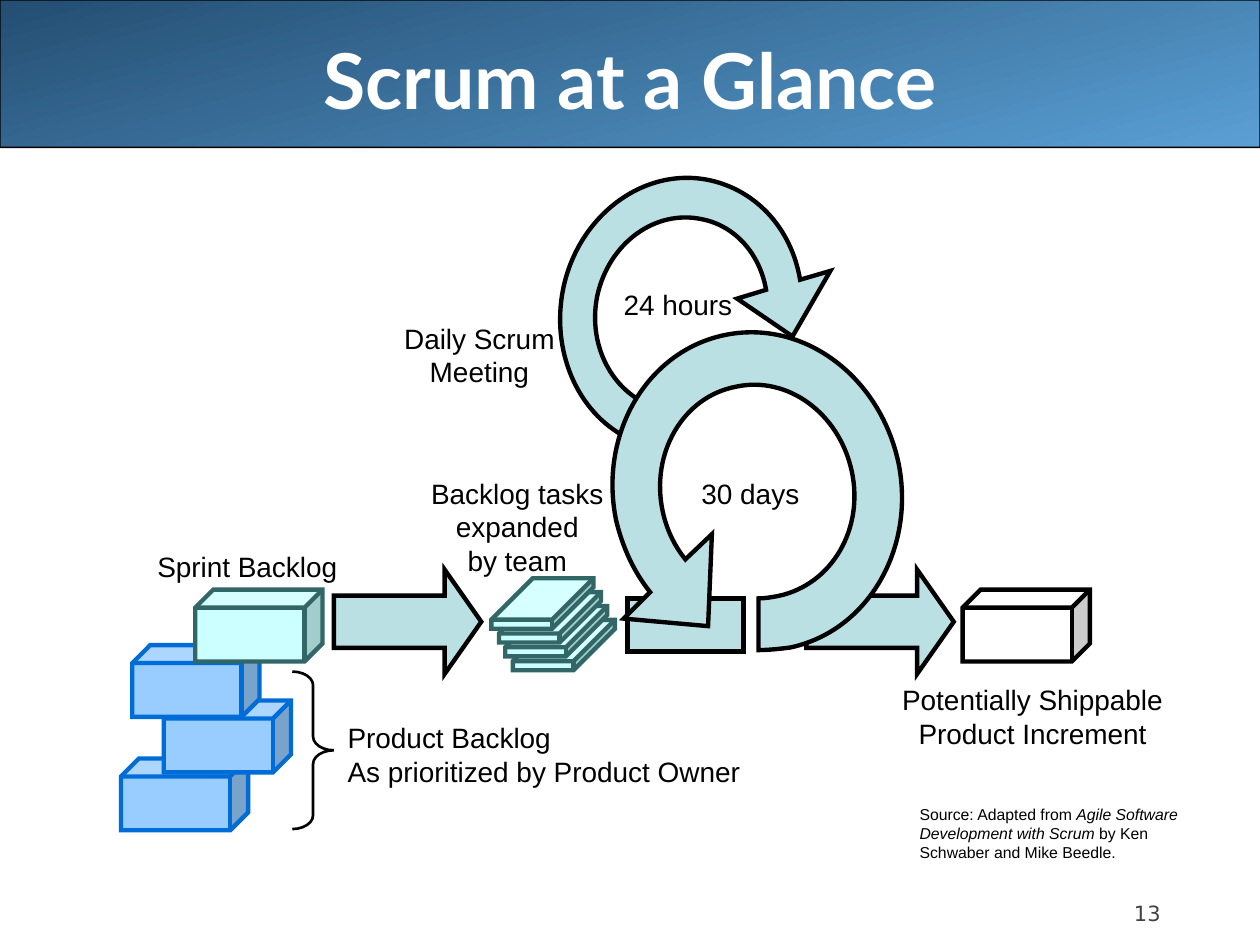
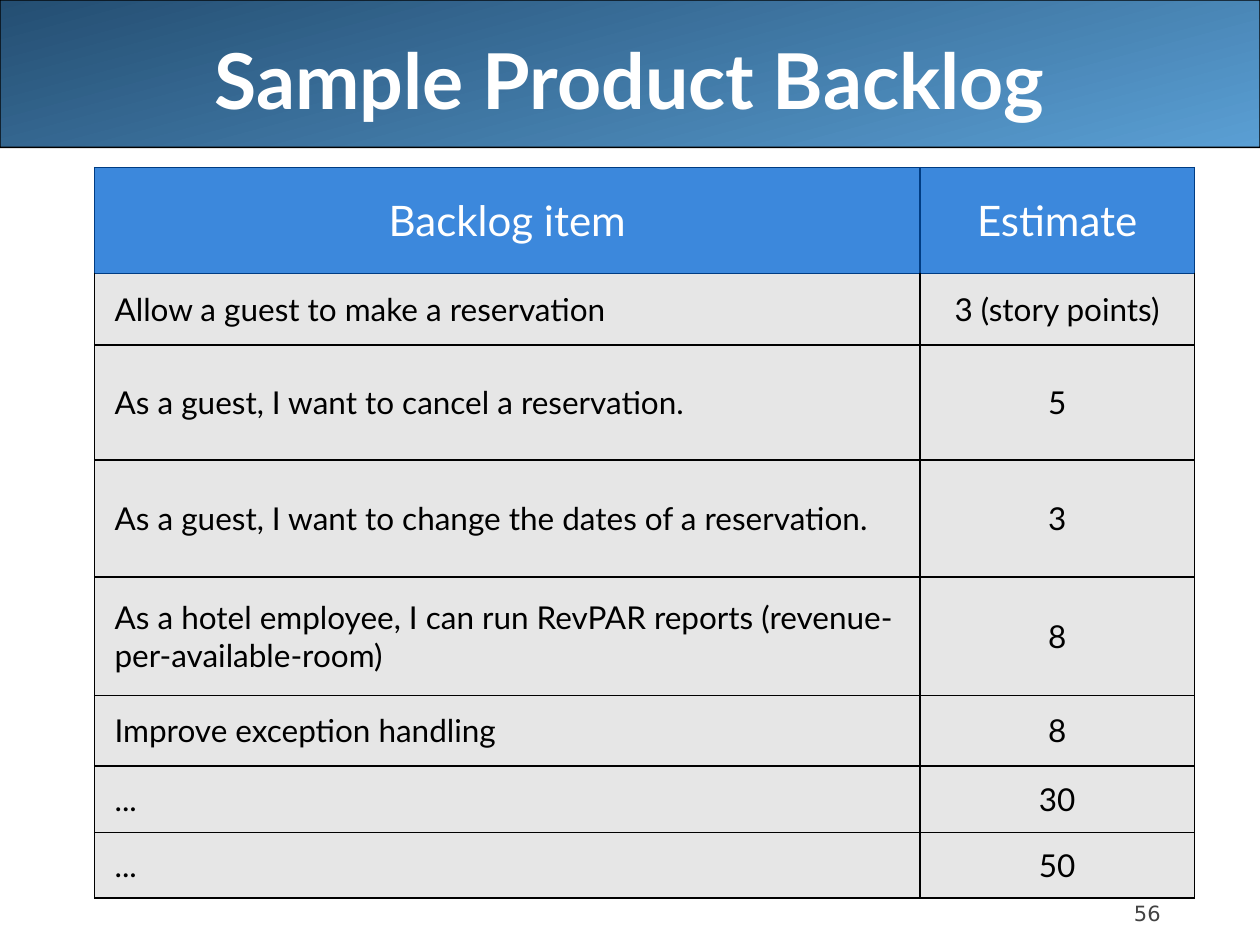
from dataclasses import dataclass

from lxml.etree import SubElement
from pptx import Presentation
from pptx.dml.color import RGBColor
from pptx.enum.shapes import MSO_SHAPE
from pptx.enum.text import MSO_ANCHOR, MSO_AUTO_SIZE, PP_ALIGN
from pptx.oxml.ns import qn
from pptx.shapes.autoshape import Shape
from pptx.shapes.shapetree import GroupShapes, SlideShapes
from pptx.slide import Slide
from pptx.text.text import TextFrame
from pptx.util import Emu, Pt

EMU_PER_PX = 9144
SLIDE_WIDTH, SLIDE_HEIGHT = 1000, 750

BLACK = RGBColor(0x00, 0x00, 0x00)
WHITE = RGBColor(0xFF, 0xFF, 0xFF)
BAND_DARK = RGBColor(0x24, 0x4E, 0x72)
BAND_LIGHT = RGBColor(0x5A, 0x9F, 0xD4)
NUMBER_GRAY = RGBColor(0x42, 0x42, 0x42)
FLOW_TEAL = RGBColor(0xBB, 0xE0, 0xE3)
PRODUCT_FILL = RGBColor(0x99, 0xCC, 0xFF)
PRODUCT_LINE = RGBColor(0x00, 0x6C, 0xD8)
SPRINT_FILL = RGBColor(0xCC, 0xFF, 0xFF)
SPRINT_LINE = RGBColor(0x33, 0x66, 0x66)
HEADER_FILL = RGBColor(0x3C, 0x88, 0xDC)
HEADER_LINE = RGBColor(0x00, 0x3C, 0x83)
ROW_FILL = RGBColor(0xE6, 0xE6, 0xE6)

TITLE_FONT = "Lato"
LABEL_FONT = "Arial"
NUMBER_FONT = "DejaVu Sans"


@dataclass(frozen=True)
class Box:
    left: int
    top: int
    width: int
    height: int

    def emu(self) -> tuple[Emu, Emu, Emu, Emu]:
        return px(self.left), px(self.top), px(self.width), px(self.height)


@dataclass(frozen=True)
class Block:
    kind: MSO_SHAPE
    box: Box
    fill: RGBColor | None = FLOW_TEAL
    line: RGBColor = BLACK
    line_width: float = 2.5
    adjustments: tuple[float, ...] = ()


@dataclass(frozen=True)
class Label:
    text: str
    box: Box
    align: PP_ALIGN = PP_ALIGN.CENTER


@dataclass(frozen=True)
class Loop:
    start: tuple[int, int]
    segments: tuple[tuple[int, ...], ...]


def px(length: int) -> Emu:
    return Emu(length * EMU_PER_PX)


def cube(left: int, top: int, fill: RGBColor, line: RGBColor) -> Block:
    return Block(MSO_SHAPE.CUBE, Box(left, top, 101, 57), fill, line, adjustments=(0.25,))


def flow_arrow(left: int) -> Block:
    return Block(MSO_SHAPE.RIGHT_ARROW, Box(left, 452, 117, 83), adjustments=(0.5, 0.351))


DAILY_LOOP = Loop((608, 230), (
    (603, 201, 583, 179, 557, 174), (520, 166, 483, 193, 474, 235),
    (467, 270, 482, 304, 510, 319), (497, 347),
    (458, 327, 437, 278, 447, 229), (459, 171, 511, 132, 563, 143),
    (600, 151, 628, 181, 635, 222), (659, 215), (629, 267), (585, 237)))

SPRINT_LOOP = Loop((544, 444), (
    (535, 433, 529, 420, 526, 406), (516, 360, 542, 315, 584, 307),
    (625, 298, 666, 328, 676, 374), (686, 420, 660, 464, 618, 473),
    (613, 474, 607, 475, 602, 475), (602, 516),
    (610, 516, 619, 515, 627, 514), (689, 501, 727, 435, 713, 367),
    (698, 298, 637, 253, 575, 266), (513, 279, 475, 345, 489, 413),
    (494, 434, 503, 454, 516, 470), (495, 491), (562, 497), (565, 424)))

TASK_STACK = [
    Block(MSO_SHAPE.CUBE, Box(390 + round(17 * layer / 3), 459 + 11 * layer, 81, 40),
          SPRINT_FILL, SPRINT_LINE, adjustments=(0.82,))
    for layer in reversed(range(4))]

BACKLOG_CUBES = [
    cube(96, 602, PRODUCT_FILL, PRODUCT_LINE),
    cube(130, 556, PRODUCT_FILL, PRODUCT_LINE),
    cube(105, 512, PRODUCT_FILL, PRODUCT_LINE),
    cube(155, 468, SPRINT_FILL, SPRINT_LINE)]

LABELS = [
    Label("30 days", Box(545, 373, 101, 37)),
    Label("24 hours", Box(483, 223, 110, 37)),
    Label("Product Backlog\nAs prioritized by Product Owner", Box(266, 567, 335, 64),
          PP_ALIGN.LEFT),
    Label("Sprint Backlog", Box(115, 431, 167, 37), PP_ALIGN.LEFT),
    Label("Backlog tasks\nexpanded\nby team", Box(330, 373, 161, 90)),
    Label("Potentially Shippable\nProduct Increment", Box(704, 537, 231, 64)),
    Label("Daily Scrum\nMeeting", Box(309, 250, 143, 64))]

BACKLOG_ROWS = [
    ("Backlog item", "Estimate", 84),
    ("Allow a guest to make a reservation", "3 (story points)", 57),
    ("As a guest, I want to cancel a reservation.", "5", 91),
    ("As a guest, I want to change the dates of a reservation.", "3", 93),
    ("As a hotel employee, I can run RevPAR reports (revenue-per-available-room)", "8", 94),
    ("Improve exception handling", "8", 56),
    ("...", "30", 53),
    ("...", "50", 52)]
COLUMN_WIDTHS = (655, 218)


def write_text(frame: TextFrame, text: str, *, font: str = LABEL_FONT, size: int = 16,
               color: RGBColor = BLACK, bold: bool = False, italic_part: str = "",
               align: PP_ALIGN = PP_ALIGN.LEFT) -> None:
    for index, line in enumerate(text.split("\n")):
        paragraph = frame.add_paragraph() if index else frame.paragraphs[0]
        paragraph.alignment = align
        parts = line.partition(italic_part) if italic_part else (line,)
        for part in parts:
            run = paragraph.add_run()
            run.text = part
            run.font.name = font
            run.font.size = Pt(size)
            run.font.color.rgb = color
            run.font.bold = bold
            run.font.italic = bool(italic_part) and part == italic_part


def add_text_box(slide: Slide, box: Box, *, wrap: bool = True, grow: bool = False,
                 anchor: MSO_ANCHOR = MSO_ANCHOR.TOP) -> TextFrame:
    frame = slide.shapes.add_textbox(*box.emu()).text_frame
    frame.word_wrap = wrap
    frame.auto_size = MSO_AUTO_SIZE.SHAPE_TO_FIT_TEXT if grow else MSO_AUTO_SIZE.NONE
    frame.vertical_anchor = anchor
    return frame


def style_shape(shape: Shape, fill: RGBColor | None, line: RGBColor, width: float) -> None:
    shape.shadow.inherit = False
    if fill is None:
        shape.fill.background()
    else:
        shape.fill.solid()
        shape.fill.fore_color.rgb = fill
    shape.line.color.rgb = line
    shape.line.width = Pt(width)
    SubElement(shape.element.spPr.find(qn("a:ln")), qn("a:miter"), lim="800000")


def add_block(shapes: SlideShapes | GroupShapes, block: Block) -> Shape:
    shape = shapes.add_shape(block.kind, *block.box.emu())
    for index, value in enumerate(block.adjustments):
        shape.adjustments[index] = value
    style_shape(shape, block.fill, block.line, block.line_width)
    return shape


def add_loop(slide: Slide, loop: Loop) -> None:
    vertices = [(px(x), px(y)) for segment in loop.segments
                for x, y in zip(segment[::2], segment[1::2])]
    builder = slide.shapes.build_freeform(*map(px, loop.start))
    builder.add_line_segments(vertices, close=True)
    shape = builder.convert_to_shape()
    steps = shape.element.spPr.iter(qn("a:lnTo"))
    steps = iter(list(steps))
    for segment in loop.segments:
        step = next(steps)
        if len(segment) == 6:
            curve = step.makeelement(qn("a:cubicBezTo"))
            step.addprevious(curve)
            for control in (step, next(steps), next(steps)):
                curve.append(control[0])
                control.getparent().remove(control)
    style_shape(shape, FLOW_TEAL, BLACK, 2.5)


def add_base_slide(presentation: Presentation, title: str, number: int) -> Slide:
    slide = presentation.slides.add_slide(presentation.slide_layouts[6])
    band = add_block(slide.shapes, Block(MSO_SHAPE.ROUNDED_RECTANGLE,
                                         Box(0, 0, SLIDE_WIDTH, 117),
                                         line_width=0.75, adjustments=(0.001,)))
    band.fill.gradient()
    band.fill.gradient_angle = 285
    for stop, color in zip(band.fill.gradient_stops, (BAND_DARK, BAND_LIGHT)):
        stop.color.rgb = color
    number_frame = add_text_box(slide, Box(900, 695, 83, 40), anchor=MSO_ANCHOR.BOTTOM)
    number_frame.margin_left = number_frame.margin_right = 0
    number_frame.margin_top = number_frame.margin_bottom = 0
    write_text(number_frame, str(number), font=NUMBER_FONT, size=12, color=NUMBER_GRAY)
    write_text(add_text_box(slide, Box(50, 0, 900, 125), anchor=MSO_ANCHOR.MIDDLE), title,
               font=TITLE_FONT, size=44, color=WHITE, bold=True, align=PP_ALIGN.CENTER)
    return slide


def build_glance_slide(presentation: Presentation) -> None:
    slide = add_base_slide(presentation, "Scrum at a Glance", 13)
    add_block(slide.shapes, flow_arrow(640))
    add_block(slide.shapes, Block(MSO_SHAPE.RECTANGLE, Box(498, 475, 92, 42)))
    add_loop(slide, DAILY_LOOP)
    for block in BACKLOG_CUBES:
        add_block(slide.shapes, block)
    task_group = slide.shapes.add_group_shape()
    for block in TASK_STACK:
        add_block(task_group.shapes, block)
    add_loop(slide, SPRINT_LOOP)
    add_block(slide.shapes, flow_arrow(265))
    add_block(slide.shapes, cube(764, 468, WHITE, BLACK))
    add_block(slide.shapes, Block(MSO_SHAPE.RIGHT_BRACE, Box(232, 533, 33, 125), None,
                                  line_width=1.5, adjustments=(0.33, 0.5)))
    for label in LABELS:
        write_text(add_text_box(slide, label.box, wrap=False, grow=True), label.text,
                   align=label.align)
    write_text(add_text_box(slide, Box(720, 634, 258, 55), grow=True),
               "Source: Adapted from Agile Software Development with Scrum "
               "by Ken Schwaber and Mike Beedle.",
               size=9, italic_part="Agile Software Development with Scrum ")


def build_backlog_slide(presentation: Presentation) -> None:
    slide = add_base_slide(presentation, "Sample Product Backlog", 56)
    box = Box(75, 133, sum(COLUMN_WIDTHS), sum(row[-1] for row in BACKLOG_ROWS))
    table = slide.shapes.add_table(len(BACKLOG_ROWS), len(COLUMN_WIDTHS), *box.emu()).table
    for column, width in zip(table.columns, COLUMN_WIDTHS):
        column.width = px(width)
    for row_index, (item, estimate, height) in enumerate(BACKLOG_ROWS):
        table.rows[row_index].height = px(height)
        header = row_index == 0
        for column_index, text in enumerate((item, estimate)):
            cell = table.cell(row_index, column_index)
            left_aligned = column_index == 0 and not header
            cell.vertical_anchor = MSO_ANCHOR.MIDDLE
            cell.margin_left = px(16 if left_aligned else 4)
            cell.margin_right = px(4)
            properties = cell._tc.get_or_add_tcPr()
            for side in "LRTB":
                blue = header or (row_index == 1 and side == "T")
                border = SubElement(properties, qn(f"a:ln{side}"), w=str(Pt(0.96)))
                fill = SubElement(border, qn("a:solidFill"))
                SubElement(fill, qn("a:srgbClr"), val=str(HEADER_LINE if blue else BLACK))
            cell.fill.solid()
            cell.fill.fore_color.rgb = HEADER_FILL if header else ROW_FILL
            write_text(cell.text_frame, text, font=TITLE_FONT, size=24 if header else 18,
                       color=WHITE if header else BLACK,
                       align=PP_ALIGN.LEFT if left_aligned else PP_ALIGN.CENTER)


def main() -> None:
    presentation = Presentation()
    presentation.slide_width = px(SLIDE_WIDTH)
    presentation.slide_height = px(SLIDE_HEIGHT)
    build_glance_slide(presentation)
    build_backlog_slide(presentation)
    presentation.save("out.pptx")


if __name__ == "__main__":
    main()
